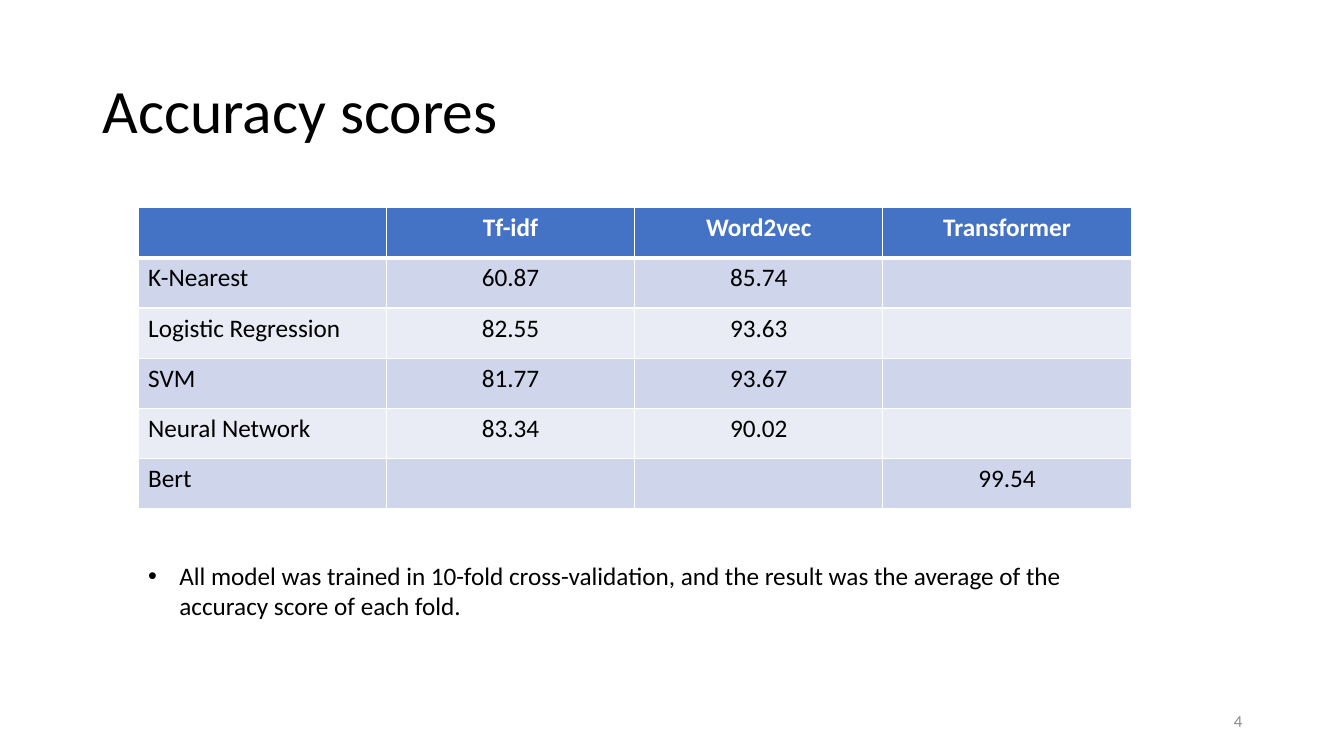
from lxml import etree
from pptx import Presentation
from pptx.dml.color import RGBColor
from pptx.enum.text import MSO_ANCHOR, PP_ALIGN
from pptx.oxml.ns import qn
from pptx.util import Inches, Pt

LEFT, CENTER, RIGHT = PP_ALIGN.LEFT, PP_ALIGN.CENTER, PP_ALIGN.RIGHT
TOP, MIDDLE = MSO_ANCHOR.TOP, MSO_ANCHOR.MIDDLE

BLACK = RGBColor(0x00, 0x00, 0x00)
WHITE = RGBColor(0xFF, 0xFF, 0xFF)
GREY = RGBColor(0x8C, 0x8C, 0x8C)
HEADER_BLUE = RGBColor(0x44, 0x72, 0xC4)
BAND_DARK = RGBColor(0xCF, 0xD5, 0xEA)
BAND_LIGHT = RGBColor(0xE9, 0xEB, 0xF5)
FONT = "Calibri"

SCORES = [
    ["", "Tf-idf", "Word2vec", "Transformer"],
    ["K-Nearest", "60.87", "85.74", ""],
    ["Logistic Regression", "82.55", "93.63", ""],
    ["SVM", "81.77", "93.67", ""],
    ["Neural Network", "83.34", "90.02", ""],
    ["Bert", "", "", "99.54"],
]
NOTE = ("All model was trained in 10-fold cross-validation, and the result "
        "was the average of the accuracy score of each fold.")


def style_text(para, size, color, align=LEFT, bold=False):
    para.alignment = align
    for span in para.runs:
        span.font.name = FONT
        span.font.size = Pt(size)
        span.font.bold = bold
        span.font.color.rgb = color


def add_text(page, area, text, size, color, align=LEFT, anchor=TOP):
    box = page.shapes.add_textbox(*[Inches(length) for length in area])
    frame = box.text_frame
    frame.word_wrap = True
    frame.vertical_anchor = anchor
    frame.text = text
    para = frame.paragraphs[0]
    style_text(para, size, color, align)
    return para


def add_bullet(para, indent):
    props = para._p.get_or_add_pPr()
    props.set("marL", str(Inches(indent)))
    props.set("indent", str(-Inches(indent)))
    etree.SubElement(props, qn("a:buFont"), typeface="Arial")
    etree.SubElement(props, qn("a:buChar"), char="•")


def set_borders(cell, top, bottom):
    props = cell._tc.get_or_add_tcPr()
    for side, width in (("L", 1), ("R", 1), ("T", top), ("B", bottom)):
        line = etree.SubElement(props, qn(f"a:ln{side}"), w=str(Pt(width)))
        fill = etree.SubElement(line, qn("a:solidFill"))
        etree.SubElement(fill, qn("a:srgbClr"), val=str(WHITE))


def add_score_table(page, area, rows):
    frame = page.shapes.add_table(len(rows), len(rows[0]),
                                  *[Inches(length) for length in area])
    for row, values in enumerate(rows):
        header = row == 0
        band = BAND_DARK if row % 2 else BAND_LIGHT
        for column, value in enumerate(values):
            cell = frame.table.cell(row, column)
            set_borders(cell, 3 if row == 1 else 1, 3 if header else 1)
            cell.fill.solid()
            cell.fill.fore_color.rgb = HEADER_BLUE if header else band
            cell.text = value
            style_text(cell.text_frame.paragraphs[0], 18,
                       WHITE if header else BLACK,
                       CENTER if column else LEFT, header)


def main():
    deck = Presentation()
    deck.slide_width, deck.slide_height = Inches(13.33), Inches(7.5)
    page = deck.slides.add_slide(deck.slide_layouts[6])

    # Title
    title = add_text(page, (0.92, 0.4, 11.5, 1.45), "Accuracy scores",
                     44, BLACK, anchor=MIDDLE)
    title.line_spacing = 0.9

    # Page number
    add_text(page, (9.42, 6.95, 3, 0.4), "4", 12, GREY, RIGHT, MIDDLE)

    # Scores by model and text representation
    add_score_table(page, (1.37, 2.06, 9.85, 2.99), SCORES)

    # Note on the training method
    note = add_text(page, (1.37, 5.51, 9.85, 0.71), NOTE, 18, BLACK)
    add_bullet(note, 0.31)

    deck.save("out.pptx")


if __name__ == "__main__":
    main()
